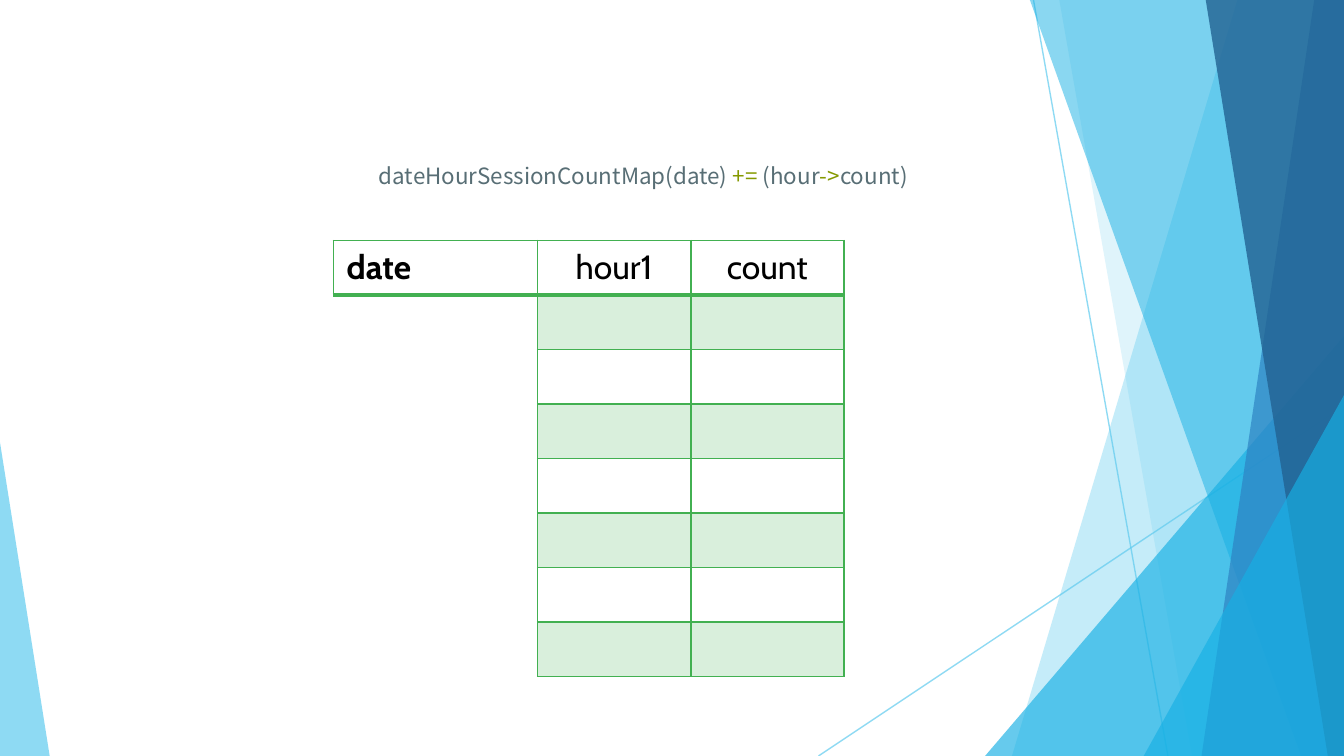
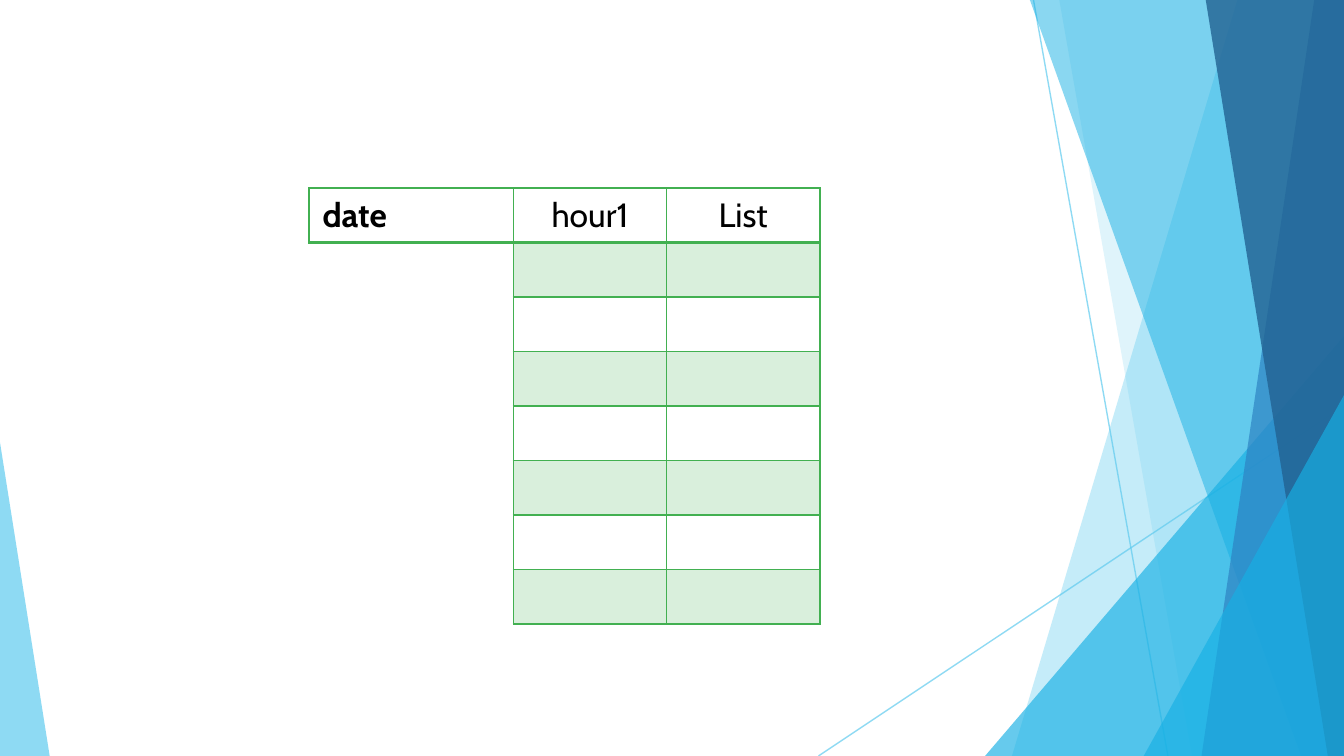
"""Builds two slides showing how session data is keyed by date and hour."""
from lxml import etree
from pptx import Presentation
from pptx import util as u
from pptx.dml.color import RGBColor
from pptx.enum import shapes, text
from pptx.oxml import ns

WIDTH = 10
HEIGHT = WIDTH * 9 / 16
BLEED = -0.01
SKY, CYAN, BLUE, NAVY = "5FCBEF", "17B0E4", "2E83C3", "226292"
GREEN, BLACK, SLATE, OLIVE = "42B051", "000000", "586E75", "859900"
HOUR_WIDTH, DATE_WIDTH, HOUR_ROWS = 1.14, 1.52, 8
ROW_HEIGHT = 3.24 / HOUR_ROWS
HOUR_HEADER_HEIGHT = 0.24


def rgb(value):
    return RGBColor.from_string(value)


def set_alpha(parent, percent):
    for color in parent.iter(ns.qn("a:srgbClr")):
        etree.SubElement(color, ns.qn("a:alpha"), val=str(percent * 1000))


class Deck:
    def __init__(self):
        self.prs = Presentation()
        self.prs.slide_width = u.Inches(WIDTH)
        self.prs.slide_height = u.Inches(HEIGHT)
        self.layout = self.prs.slide_layouts[6]
        self.slide = None

    def new_slide(self):
        self.slide = self.prs.slides.add_slide(self.layout)

    def add_backdrop(self):
        for placeholder in list(self.layout.placeholders):
            self.layout.shapes.element.remove(placeholder.element)
        backdrop = self.slide.shapes.add_group_shape()
        self.ray(backdrop, (7.69, 0), (8.69, HEIGHT))
        self.ray(backdrop, (WIDTH, 3.02), (6.09, HEIGHT))
        self.band(backdrop, 9.21, 7.53, SKY, 36)
        self.band(backdrop, 7.88, 8.87, SKY, 20)
        self.triangle(backdrop, 7.33, 2.5, 2.67, 1, CYAN, 66)
        self.band(backdrop, 7.66, 9.68, CYAN, 50)
        self.band(backdrop, 9.78, 8.94, BLUE, 70)
        self.band(backdrop, 8.97, 9.88, NAVY, 80)
        self.triangle(backdrop, 8.51, 2.94, 1.49, 1, CYAN, 66)
        self.triangle(backdrop, 0, 3.29, 0.37, 0, SKY, 70)
        self.layout.shapes.element.append(backdrop.element)

    def ray(self, group, start, end):
        ends = [u.Inches(v) for v in (*start, *end)]
        line = group.shapes.add_connector(shapes.MSO_CONNECTOR.STRAIGHT, *ends)
        line.line.color.rgb = rgb(SKY)
        line.line.width = u.Pt(0.75)
        properties = line.element.spPr
        set_alpha(properties, 70)
        etree.SubElement(properties, ns.qn("a:effectLst"))

    def band(self, group, top_x, bottom_x, color, alpha):
        corners = [(top_x, BLEED), (WIDTH, BLEED), (WIDTH, HEIGHT), (bottom_x, HEIGHT)]
        points = [(u.Inches(x), u.Inches(y)) for x, y in corners]
        outline = group.shapes.build_freeform(*points[0], scale=1.0)
        outline.add_line_segments(points[1:], close=True)
        self.paint(outline.convert_to_shape(), color, alpha)

    def triangle(self, group, left, top, width, apex, color, alpha):
        shape = group.shapes.add_shape(
            shapes.MSO_SHAPE.ISOSCELES_TRIANGLE, u.Inches(left), u.Inches(top),
            u.Inches(width), u.Inches(HEIGHT - top))
        shape.adjustments[0] = apex
        self.paint(shape, color, alpha)

    def paint(self, shape, color, alpha):
        shape.shadow.inherit = False
        shape.fill.solid()
        shape.fill.fore_color.rgb = rgb(color)
        set_alpha(shape.element.spPr, alpha)
        shape.line.fill.background()

    def table(self, left, top, headings, width, heights, align, bold=False):
        frame = self.slide.shapes.add_table(
            len(heights), len(headings), u.Inches(left), u.Inches(top),
            u.Inches(width * len(headings)), u.Inches(sum(heights)))
        grid = frame.table
        grid.first_row = grid.horz_banding = False
        for row_index, (row, height) in enumerate(zip(grid.rows, heights)):
            row.height = u.Inches(height)
            for cell in row.cells:
                self.style_cell(cell, shaded=row_index % 2 == 1,
                                top=2 if row_index == 1 else 1,
                                bottom=2 if row_index == 0 else 1)
        for cell, heading in zip(grid.rows[0].cells, headings):
            cell.text_frame.text = heading
            paragraph = cell.text_frame.paragraphs[0]
            paragraph.alignment = align
            self.style_run(paragraph.runs[0], "Cabin", 18, BLACK, bold)

    def style_cell(self, cell, shaded, top, bottom):
        if shaded:
            cell.fill.solid()
            cell.fill.fore_color.rgb = rgb(GREEN)
        else:
            cell.fill.background()
        properties = cell._tc.get_or_add_tcPr()
        set_alpha(properties, 20)
        sides = (("a:lnL", 1), ("a:lnR", 1), ("a:lnT", top), ("a:lnB", bottom))
        for index, (side, points) in enumerate(sides):
            border = etree.Element(ns.qn(side), w=str(u.Pt(points)))
            fill = etree.SubElement(border, ns.qn("a:solidFill"))
            etree.SubElement(fill, ns.qn("a:srgbClr"), val=GREEN)
            properties.insert(index, border)

    def style_run(self, run, font, size, color, bold=False):
        run.font.name = font
        run.font.size = u.Pt(size)
        run.font.color.rgb = rgb(color)
        run.font.bold = bold
        east_asian = etree.Element(ns.qn("a:ea"), typeface=font)
        run.font._element.find(ns.qn("a:latin")).addnext(east_asian)

    def code_line(self, left, top, width, height, pieces):
        box = self.slide.shapes.add_textbox(
            u.Inches(left), u.Inches(top), u.Inches(width), u.Inches(height))
        box.text_frame.word_wrap = True
        box.text_frame.auto_size = text.MSO_AUTO_SIZE.SHAPE_TO_FIT_TEXT
        paragraph = box.text_frame.paragraphs[0]
        for piece, color in pieces:
            run = paragraph.add_run()
            run.text = piece
            self.style_run(run, "Noto Sans CJK SC", 12, color)

    def date_map(self, left, top, value_heading):
        hour_heights = [HOUR_HEADER_HEIGHT] + [ROW_HEIGHT] * (HOUR_ROWS - 1)
        self.table(left + DATE_WIDTH, top, ["hour1", value_heading], HOUR_WIDTH,
                   hour_heights, text.PP_ALIGN.CENTER)
        self.table(left, top, ["date"], DATE_WIDTH, [ROW_HEIGHT],
                   text.PP_ALIGN.LEFT, bold=True)


def main():
    deck = Deck()
    deck.new_slide()
    deck.add_backdrop()
    deck.date_map(2.48, 1.79, "count")
    deck.code_line(2.72, 1.16, 4.25, 0.3, [
        ("dateHourSessionCountMap(date) ", SLATE), ("+= ", OLIVE),
        ("(hour", SLATE), ("->", OLIVE), ("count)", SLATE)])
    deck.new_slide()
    deck.date_map(2.3, 1.4, "List")
    deck.prs.save("out.pptx")


if __name__ == "__main__":
    main()
